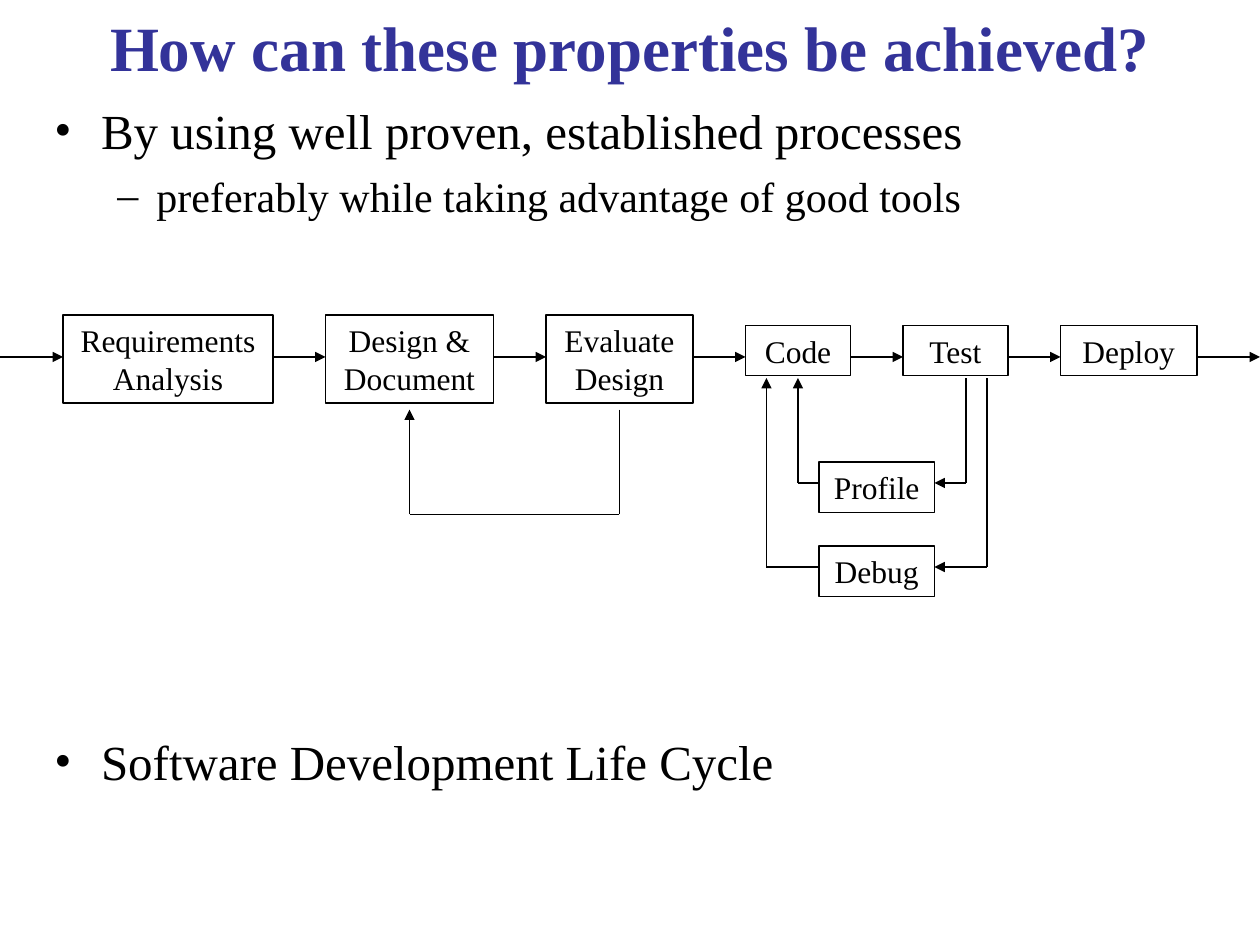
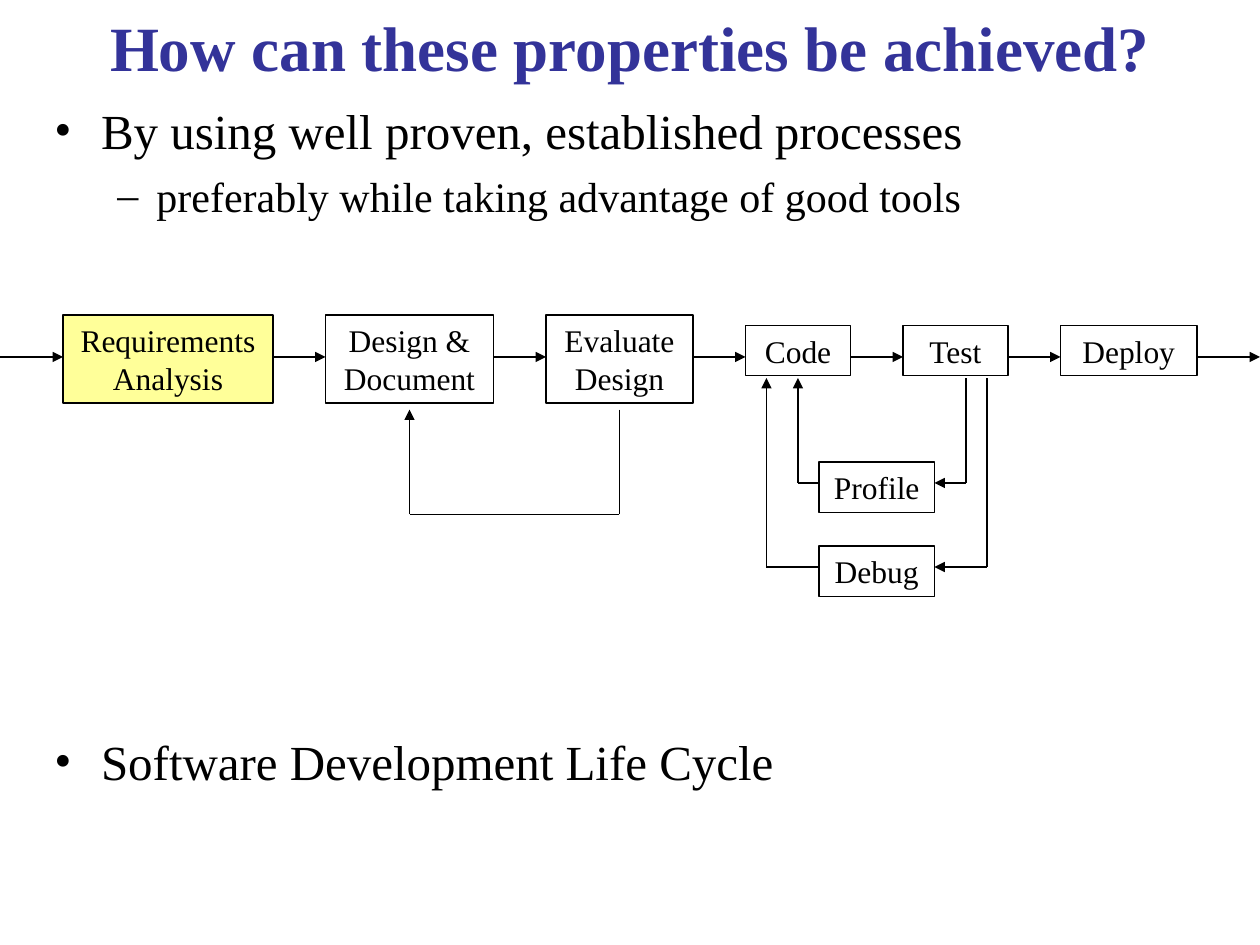
import dataclasses
import itertools

import lxml.etree
import pptx
import pptx.dml.color
import pptx.enum.shapes
import pptx.enum.text
import pptx.oxml.ns
import pptx.util

# Shared look
FONT = "Times New Roman"
BLACK, WHITE, TITLE_BLUE, HIGHLIGHT = "000000", "FFFFFF", "333399", "FFFF99"
LINE_WIDTH = 0.75
TITLE = "How can these properties be achieved?"

# Grid of 120 columns by 90 rows
SLIDE_WIDTH, SLIDE_HEIGHT = pptx.util.Inches(10), pptx.util.Inches(7.5)
COLUMNS, ROWS = 120, 90
FLOW_ROW = 34
ONE_LINE, TWO_LINES = 4.8, 8.4

Point = tuple[float, float]


@dataclasses.dataclass(frozen=True)
class Step:
    label: str
    column: float
    row: float
    width: float
    height: float = ONE_LINE


@dataclasses.dataclass(frozen=True)
class Bullet:
    text: str
    mark: str
    size: float
    space_before: float
    margin: float
    hanging: float
    level: int = 0


MAIN_STEPS = [
    Step("Requirements Analysis", 6, 30, 20, TWO_LINES),
    Step("Design & Document", 31, 30, 16, TWO_LINES),
    Step("Evaluate Design", 52, 30, 14, TWO_LINES),
    Step("Code", 71, 31, 10),
    Step("Test", 86, 31, 10),
    Step("Deploy", 101, 31, 13),
]
SIDE_STEPS = [Step("Profile", 78, 44, 11), Step("Debug", 78, 52, 11)]

# Each route ends in an arrowhead
FEEDBACK_ROUTES: list[list[Point]] = [
    [(59, 39), (59, 49), (39, 49), (39, 39)],
    [(92, 36), (92, 46), (89, 46)],
    [(78, 46), (76, 46), (76, 36)],
    [(94, 36), (94, 54), (89, 54)],
    [(78, 54), (73, 54), (73, 36)],
]

BULLETS = [
    Bullet("By using well proven, established processes", "•", 28, 7, 0.37, 0.37),
    Bullet("preferably while taking advantage of good tools", "–", 24, 6, 0.81, 0.31, 1),
    Bullet("Software Development Life Cycle", "•", 28, 292, 0.37, 0.37),
]


def color(value: str) -> pptx.dml.color.RGBColor:
    return pptx.dml.color.RGBColor.from_string(value)


def across(column: float) -> int:
    return round(SLIDE_WIDTH * column / COLUMNS)


def down(row: float) -> int:
    return round(SLIDE_HEIGHT * row / ROWS)


def add_child(parent, tag: str, **attributes: str):
    return lxml.etree.SubElement(parent, pptx.oxml.ns.qn(tag), attributes)


def format_text(para, size: float, value: str = BLACK, bold: bool = False) -> None:
    for span in para.runs:
        span.font.name = FONT
        span.font.size = pptx.util.Pt(size)
        span.font.bold = bold
        span.font.color.rgb = color(value)


def add_title(page) -> None:
    title = page.shapes.title
    title.left, title.top = across(4), down(0.25)
    title.width, title.height = across(112), down(8.4)
    frame = title.text_frame
    frame.text = TITLE
    frame.auto_size = pptx.enum.text.MSO_AUTO_SIZE.NONE
    frame.vertical_anchor = pptx.enum.text.MSO_ANCHOR.MIDDLE
    para = frame.paragraphs[0]
    para.alignment = pptx.enum.text.PP_ALIGN.CENTER
    format_text(para, 36, TITLE_BLUE, True)


def add_bullets(page, bullets: list[Bullet]) -> None:
    box = page.shapes.add_textbox(across(4), down(9), across(112), down(78))
    frame = box.text_frame
    frame.word_wrap = True
    for index, bullet in enumerate(bullets):
        para = frame.add_paragraph() if index else frame.paragraphs[0]
        para.text = bullet.text
        para.level = bullet.level
        para.space_before = pptx.util.Pt(bullet.space_before)
        format_text(para, bullet.size)
        properties = para.runs[0].font._element.getparent().getparent().pPr
        properties.set("marL", str(pptx.util.Inches(bullet.margin)))
        properties.set("indent", str(-pptx.util.Inches(bullet.hanging)))
        add_child(properties, "a:buFont", typeface=FONT)
        add_child(properties, "a:buChar", char=bullet.mark)


def add_step(page, step: Step, highlighted: bool) -> None:
    box = page.shapes.add_shape(
        pptx.enum.shapes.MSO_SHAPE.RECTANGLE,
        across(step.column), down(step.row), across(step.width), down(step.height),
    )
    box.shadow.inherit = False
    if highlighted:
        box.fill.solid()
        box.fill.fore_color.rgb = color(HIGHLIGHT)
    else:
        box.fill.background()
    box.line.color.rgb = color(BLACK)
    box.line.width = pptx.util.Pt(LINE_WIDTH)
    frame = box.text_frame
    frame.text = step.label
    frame.word_wrap = True
    frame.vertical_anchor = pptx.enum.text.MSO_ANCHOR.TOP
    para = frame.paragraphs[0]
    para.alignment = pptx.enum.text.PP_ALIGN.CENTER
    format_text(para, 18)


def add_line(page, start: Point, end: Point, arrow: bool) -> None:
    line = page.shapes.add_connector(
        pptx.enum.shapes.MSO_CONNECTOR.STRAIGHT,
        across(start[0]), down(start[1]), across(end[0]), down(end[1]),
    )
    line.line.color.rgb = color(BLACK)
    line.line.width = pptx.util.Pt(LINE_WIDTH)
    properties = line.element.spPr
    if arrow:
        add_child(properties.find(pptx.oxml.ns.qn("a:ln")), "a:tailEnd", type="triangle")
    add_child(properties, "a:effectLst")


def add_route(page, points: list[Point]) -> None:
    for start, end in itertools.pairwise(points):
        add_line(page, start, end, arrow=end is points[-1])


def add_process(page, highlighted: str | None) -> None:
    for step in MAIN_STEPS + SIDE_STEPS:
        add_step(page, step, step.label == highlighted)
    # Arrows run from the left edge, through the gaps, to the right edge
    starts = [0] + [step.column + step.width for step in MAIN_STEPS]
    ends = [step.column for step in MAIN_STEPS] + [COLUMNS]
    for start, end in zip(starts, ends):
        add_line(page, (start, FLOW_ROW), (end, FLOW_ROW), arrow=True)
    for route in FEEDBACK_ROUTES:
        add_route(page, route)


def add_page(deck, highlighted: str | None = None) -> None:
    page = deck.slides.add_slide(deck.slide_layouts.get_by_name("Title Only"))
    page.background.fill.solid()
    page.background.fill.fore_color.rgb = color(WHITE)
    add_title(page)
    add_bullets(page, BULLETS)
    add_process(page, highlighted)


def main() -> None:
    deck = pptx.Presentation()
    deck.slide_width, deck.slide_height = SLIDE_WIDTH, SLIDE_HEIGHT
    add_page(deck)
    add_page(deck, highlighted="Requirements Analysis")
    deck.save("out.pptx")


if __name__ == "__main__":
    main()
